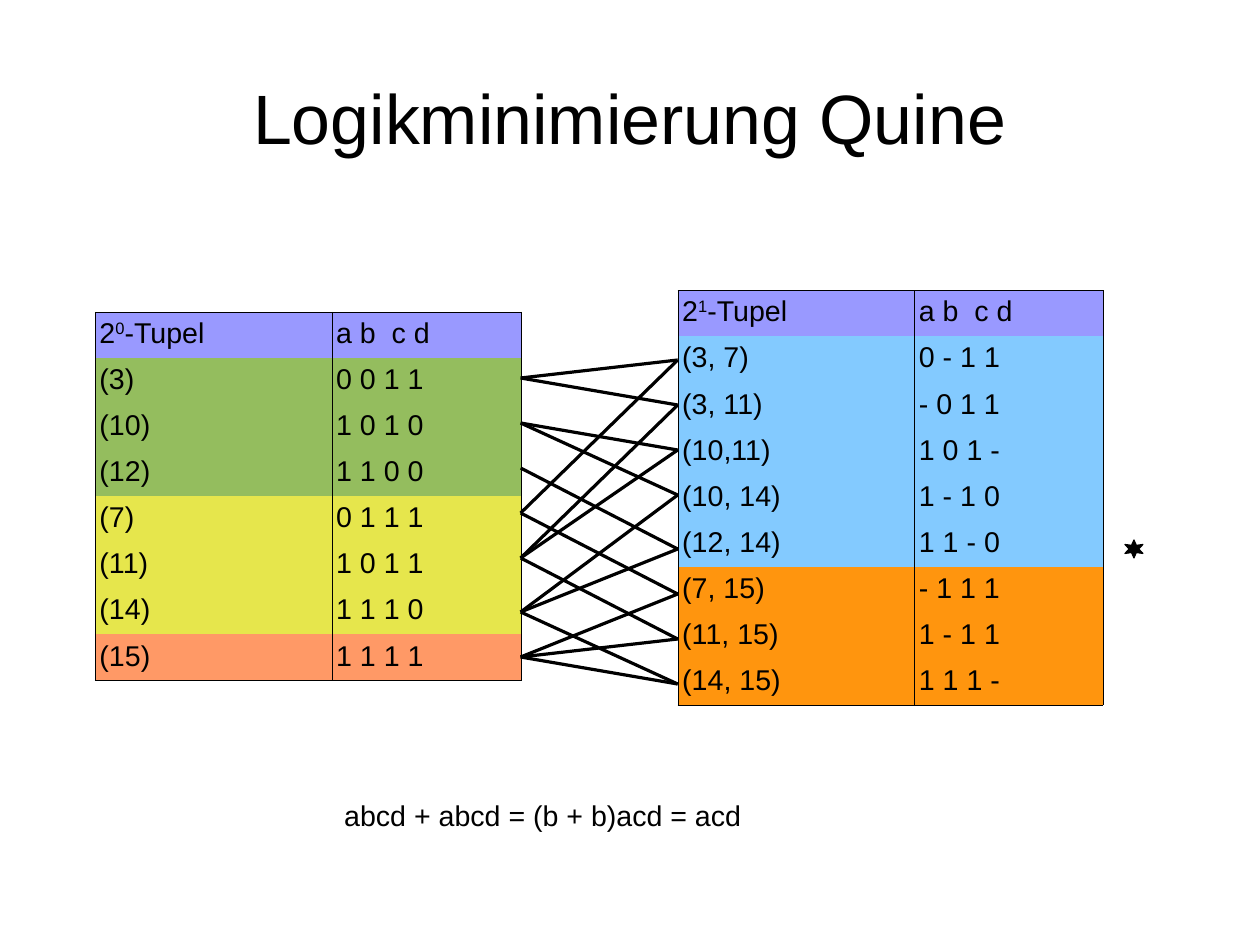
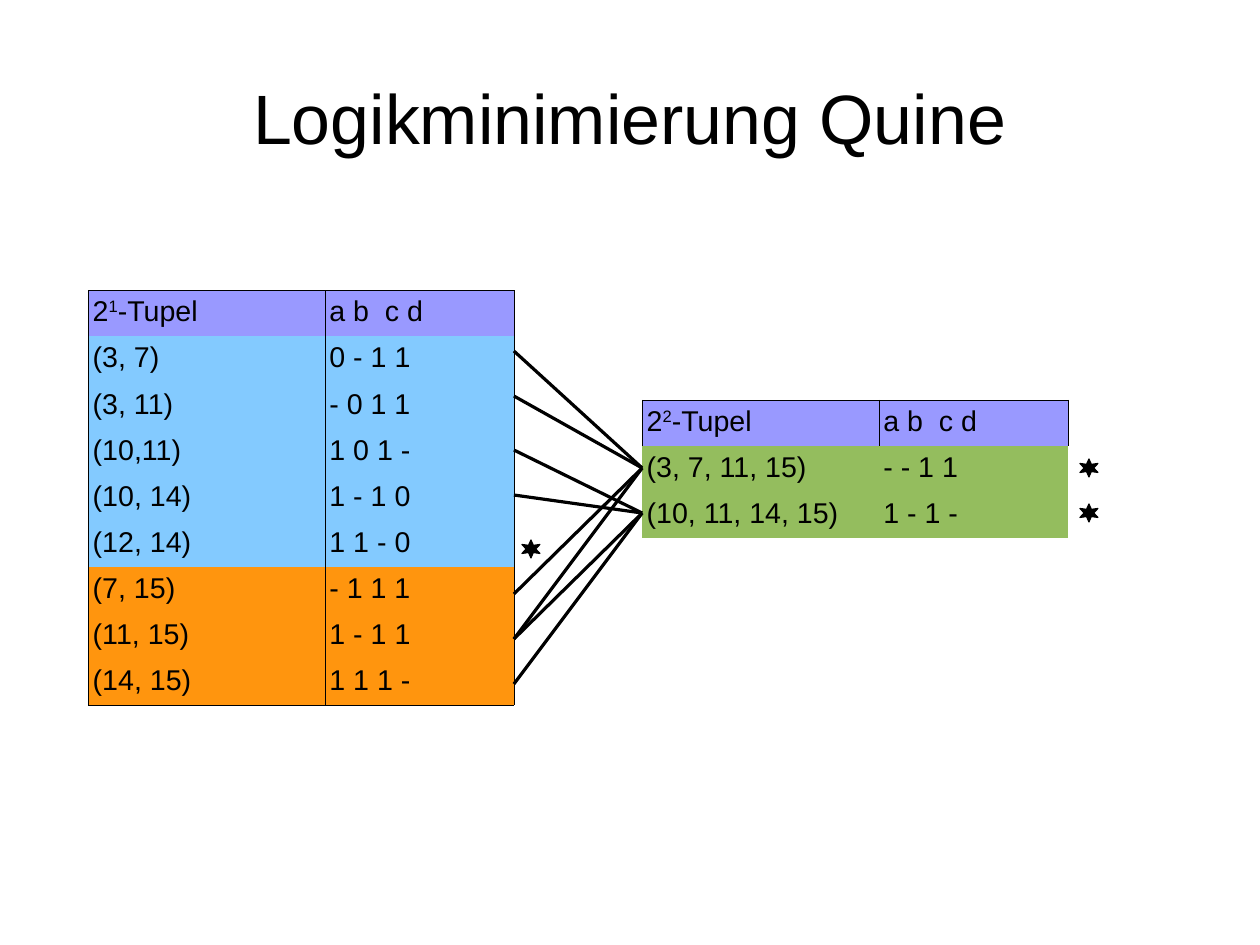
from dataclasses import dataclass
from typing import Any, Optional

from lxml import etree
from pptx import Presentation
from pptx import util as u
from pptx.dml.color import RGBColor
from pptx.enum import shapes, text
from pptx.oxml.ns import qn

# The slide is a grid of 28 columns by 21 rows, one centimetre each.
GRID_COLS, GRID_ROWS = 28, 21
LABEL_COLS, CODE_COLS = 5.26, 4.2
ROW_HEIGHT = 8.2 / 8
STAR_SIZE = 0.4
HAIRLINE = u.Pt(0.06)
NO_STYLE = "{2D5ABB26-0587-4C30-8999-92F81FD0307C}"

COLORS = {
    "ink": "000000",
    "header": "9999FF",
    "green": "94BD5E",
    "yellow": "E6E64C",
    "salmon": "FF9966",
    "blue": "83CAFF",
    "orange": "FF950E",
}
TITLE_FONT = {"name": "Arial", "size": u.Pt(44)}
BODY_FONT = {"name": "Arial", "size": u.Pt(18)}
CELL_FORMAT = {
    "margin_left": u.Inches(0.04),
    "margin_right": u.Inches(0.04),
    "margin_top": u.Inches(0.05),
    "margin_bottom": u.Inches(0.05),
}
TITLE_FRAME = {
    "margin_left": 0,
    "margin_right": 0,
    "margin_top": 0,
    "margin_bottom": 0,
    "word_wrap": True,
    "vertical_anchor": text.MSO_ANCHOR.MIDDLE,
}
BODY_FRAME = {"word_wrap": True}


@dataclass(frozen=True)
class Implicant:
    label: str
    code: str
    prime: bool = False

    @property
    def minterms(self) -> set[int]:
        return {int(number) for number in self.label.strip("()").split(",")}


@dataclass(frozen=True)
class TupleTable:
    """A table of implicants; fills are keyed by the ones in a code."""
    exponent: str
    col: float
    row: float
    implicants: tuple[Implicant, ...]
    fills: dict[int, str]
    link_rows: tuple[float, ...]
    star_col: float = 0
    boxed: bool = True

    @property
    def right(self) -> float:
        return self.col + LABEL_COLS + CODE_COLS


@dataclass(frozen=True)
class Step:
    before: TupleTable
    after: TupleTable
    formula: Optional[str] = None


MINTERMS = (
    Implicant("(3)", "0 0 1 1"),
    Implicant("(10)", "1 0 1 0"),
    Implicant("(12)", "1 1 0 0"),
    Implicant("(7)", "0 1 1 1"),
    Implicant("(11)", "1 0 1 1"),
    Implicant("(14)", "1 1 1 0"),
    Implicant("(15)", "1 1 1 1"),
)
PAIRS = (
    Implicant("(3, 7)", "0 - 1 1"),
    Implicant("(3, 11)", "- 0 1 1"),
    Implicant("(10,11)", "1 0 1 -"),
    Implicant("(10, 14)", "1 - 1 0"),
    Implicant("(12, 14)", "1 1 - 0", prime=True),
    Implicant("(7, 15)", "- 1 1 1"),
    Implicant("(11, 15)", "1 - 1 1"),
    Implicant("(14, 15)", "1 1 1 -"),
)
QUADS = (
    Implicant("(3, 7, 11, 15)", "- - 1 1", prime=True),
    Implicant("(10, 11, 14, 15)", "1 - 1 -", prime=True),
)
PAIR_FILLS = {2: "blue", 3: "orange"}

STEPS = (
    Step(
        TupleTable("0", 2.11, 6.93, MINTERMS,
                   {2: "green", 3: "yellow", 4: "salmon"},
                   (8.4, 9.4, 10.4, 11.4, 12.4, 13.6, 14.6)),
        TupleTable("1", 15.06, 6.45, PAIRS, PAIR_FILLS,
                   (8, 9, 10, 11, 12.2, 13.2, 14.2, 15.2), star_col=25.2),
        "abcd + abcd = (b + b)acd = acd",
    ),
    Step(
        TupleTable("1", 1.96, 6.45, PAIRS, PAIR_FILLS,
                   (7.8, 8.8, 10, 11, 12.2, 13.2, 14.2, 15.2), star_col=11.8),
        TupleTable("2", 14.27, 8.89, QUADS, {2: "green"},
                   (10.4, 11.4), star_col=24.2, boxed=False),
    ),
)


def apply(target: Any, values: dict[str, Any]) -> None:
    for name, value in values.items():
        setattr(target, name, value)


def color(name: str) -> RGBColor:
    return RGBColor.from_string(COLORS[name])


def grid(*lengths: float) -> list[u.Cm]:
    return [u.Cm(length) for length in lengths]


def add_run(paragraph: Any, words: str, font: dict[str, Any], raised: bool = False) -> None:
    run = paragraph.add_run()
    run.text = words
    apply(run.font, font)
    run.font.color.rgb = color("ink")
    if raised:
        run.font._element.set("baseline", "33000")


def add_text(slide: Any, words: str, area: tuple[float, ...], font: dict[str, Any],
             frame: dict[str, Any], align: Any) -> None:
    box = slide.shapes.add_textbox(*grid(*area)).text_frame
    apply(box, frame)
    box.paragraphs[0].alignment = align
    add_run(box.paragraphs[0], words, font)


def set_borders(cell: Any, sides: str) -> None:
    """Draw the given sides (of L, R, T, B) and clear the others."""
    properties = cell._tc.get_or_add_tcPr()
    for position, side in enumerate("LRTB"):
        border = etree.Element(qn(f"a:ln{side}"), w=str(int(HAIRLINE)))
        if side in sides:
            solid = etree.SubElement(border, qn("a:solidFill"))
            etree.SubElement(solid, qn("a:srgbClr"), val=COLORS["ink"])
        else:
            etree.SubElement(border, qn("a:noFill"))
        properties.insert(position, border)


def add_tuple_table(slide: Any, table: TupleTable) -> None:
    count = len(table.implicants) + 1
    frame = slide.shapes.add_table(
        count, 2, *grid(table.col, table.row, LABEL_COLS + CODE_COLS, count * ROW_HEIGHT))
    frame._element.xpath(".//a:tableStyleId")[0].text = NO_STYLE
    apply(frame.table, {"first_row": False, "horz_banding": False})
    for column, width in zip(frame.table.columns, grid(LABEL_COLS, CODE_COLS)):
        column.width = width

    contents = [(("2", table.exponent, "-Tupel"), ("a b  c d",), "header")]
    contents += [((item.label,), (item.code,), table.fills[item.code.count("1")])
                 for item in table.implicants]
    for index, (label, code, fill) in enumerate(contents):
        frame.table.rows[index].height = u.Cm(ROW_HEIGHT)
        sides = "LR" if table.boxed or index == 0 else ""
        if index == 0:
            sides += "T"
        elif table.boxed and index == count - 1:
            sides += "B"
        for cell, parts in zip(frame.table.rows[index].cells, (label, code)):
            apply(cell, CELL_FORMAT)
            cell.fill.solid()
            cell.fill.fore_color.rgb = color(fill)
            set_borders(cell, sides)
            for place, part in enumerate(parts):
                add_run(cell.text_frame.paragraphs[0], part, BODY_FONT, raised=place == 1)


def add_links(slide: Any, before: TupleTable, after: TupleTable) -> None:
    """Join each implicant to those it is merged into."""
    for source, start in zip(before.implicants, before.link_rows):
        for merged, end in zip(after.implicants, after.link_rows):
            if source.minterms <= merged.minterms:
                link = slide.shapes.add_connector(
                    shapes.MSO_CONNECTOR.STRAIGHT, *grid(before.right, start, after.col, end))
                link.line.color.rgb = color("ink")
                link.line.width = 0
                etree.SubElement(link._element.spPr, qn("a:effectLst"))


def add_stars(slide: Any, table: TupleTable) -> None:
    """Mark the prime implicants beside the table."""
    for item, row in zip(table.implicants, table.link_rows):
        if item.prime:
            star = slide.shapes.add_shape(
                shapes.MSO_SHAPE.STAR_6_POINT,
                *grid(table.star_col - STAR_SIZE / 2, row - STAR_SIZE / 2, STAR_SIZE, STAR_SIZE))
            star.adjustments[0] = 0.23
            star.shadow.inherit = False
            star.fill.solid()
            star.fill.fore_color.rgb = color("ink")
            star.line.color.rgb = color("ink")
            star.line.width = 0


def add_step(deck: Any, step: Step) -> None:
    slide = deck.slides.add_slide(deck.slide_layouts[6])
    add_text(slide, "Logikminimierung Quine", (1.4, 0.84, 25.2, 3.5),
             TITLE_FONT, TITLE_FRAME, text.PP_ALIGN.CENTER)
    for table in (step.before, step.after):
        add_tuple_table(slide, table)
    add_links(slide, step.before, step.after)
    for table in (step.before, step.after):
        add_stars(slide, table)
    if step.formula:
        add_text(slide, step.formula, (7.4, 17.6, 13.8, 1.04),
                 BODY_FONT, BODY_FRAME, text.PP_ALIGN.LEFT)


def main() -> None:
    deck = Presentation()
    deck.slide_width, deck.slide_height = grid(GRID_COLS, GRID_ROWS)
    for step in STEPS:
        add_step(deck, step)
    deck.save("out.pptx")


if __name__ == "__main__":
    main()
